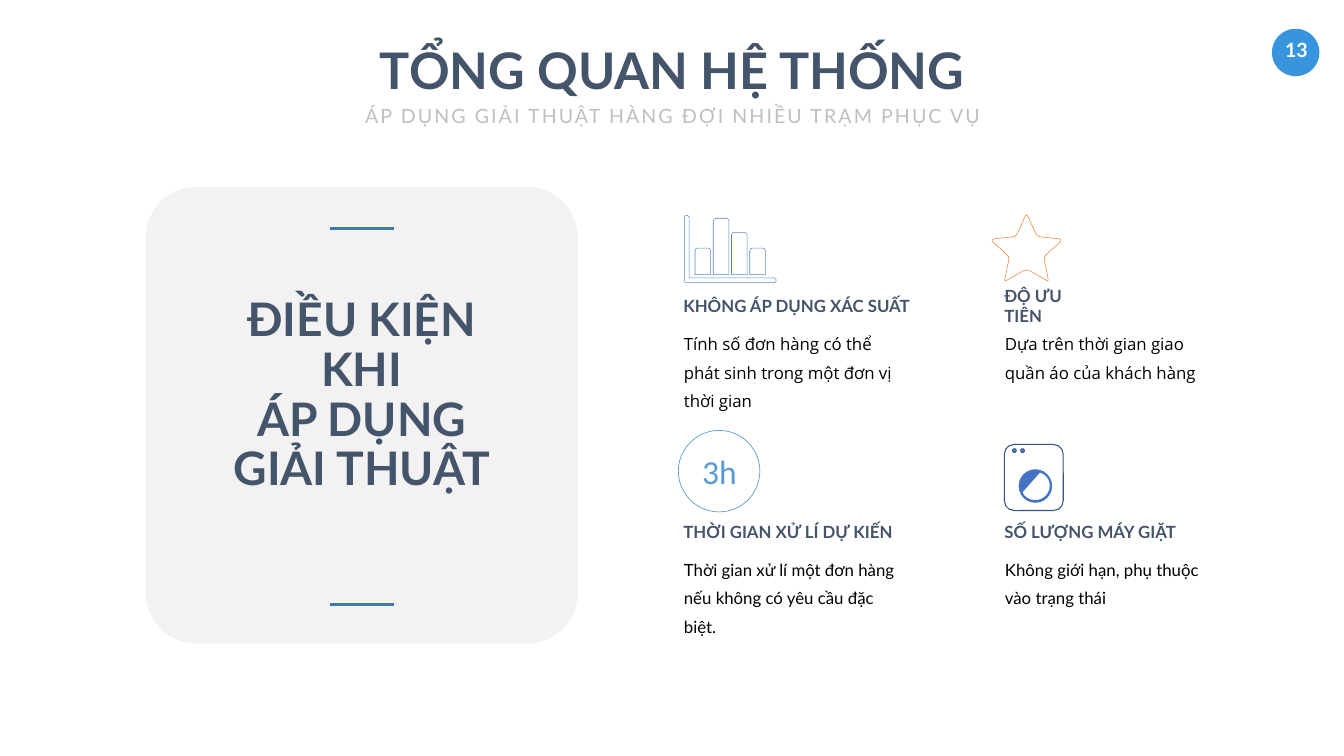
from pptx import Presentation
from pptx.dml.color import RGBColor
from pptx.enum import shapes, text
from pptx.oxml.ns import qn
from pptx.util import Cm, Pt
from lxml import etree

COLORS = {"navy": "44546A", "badge": "3895DD", "card": "F2F2F2", "blue": "4472C4",
          "bar": "5B84CB", "orange": "ED7D31", "sky": "5B9BD5", "edge": "325491",
          "gray": "BFBFBF", "black": "000000", "white": "FFFFFF"}
SHAPE = shapes.MSO_SHAPE
CENTER = text.PP_ALIGN.CENTER

# Content
TITLE = "TỔNG QUAN HỆ THỐNG"
SUBTITLE = "ÁP DỤNG GIẢI THUẬT HÀNG ĐỢI NHIỀU TRẠM PHỤC VỤ"
CARD = ["ĐIỀU KIỆN", "KHI", "ÁP DỤNG", "GIẢI THUẬT"]
# column, row, heading, heading width, body, body font
CONDITIONS = [
    (0, 0, "KHÔNG ÁP DỤNG XÁC SUẤT", 12.17,
     "Tính số đơn hàng có thể phát sinh trong một đơn vị thời gian", "Open Sans"),
    (1, 0, "ĐỘ ƯU TIÊN", 5.46,
     "Dựa trên thời gian giao quần áo của khách hàng", "Open Sans"),
    (0, 1, "THỜI GIAN XỬ LÍ DỰ KIẾN", 11.15,
     "Thời gian xử lí một đơn hàng nếu không có yêu cầu đặc biệt.", "Lato"),
    (1, 1, "SỐ LƯỢNG MÁY GIẶT", 9.27,
     "Không giới hạn, phụ thuộc vào trạng thái", "Lato"),
]
BAR_TOPS = [12.5, 11, 11.71, 12.5]
# Right half of the star: distance from its axis, height on the slide
STAR_HALF = [(0, 10.82), (0.07, 10.9), (0.46, 11.76), (0.56, 11.89), (0.72, 11.94),
             (1.67, 12.04), (1.74, 12.09), (1.7, 12.19), (0.99, 12.83), (0.91, 12.93),
             (0.89, 13.08), (1.09, 14.05), (1.09, 14.15), (0.99, 14.12), (0.15, 13.64),
             (0, 13.61)]


def rgb(name):
    return RGBColor.from_string(COLORS[name])


def paint(sp, fill=None, line=None, width=0.75):
    sp.shadow.inherit = False
    if fill:
        sp.fill.solid()
        sp.fill.fore_color.rgb = rgb(fill)
    else:
        sp.fill.background()
    if line:
        sp.line.color.rgb = rgb(line)
        sp.line.width = Pt(width)
    else:
        sp.line.fill.background()
    return sp


def add_shape(parent, kind, box, **style):
    return paint(parent.add_shape(kind, *map(Cm, box)), **style)


def add_outline(parent, points, line):
    start, *rest = [(Cm(x), Cm(y)) for x, y in points]
    fb = parent.build_freeform(*start)
    fb.add_line_segments(rest, close=True)
    return paint(fb.convert_to_shape(), "white", line)


def write(sp, lines, size, color, font="Lato", bold=False, align=None, spacing=None,
          wrap=False, middle=False, inset=(0.25, 0.13)):
    tf = sp.text_frame
    tf.auto_size = text.MSO_AUTO_SIZE.NONE
    tf.word_wrap = wrap
    tf.vertical_anchor = text.MSO_ANCHOR.MIDDLE if middle else text.MSO_ANCHOR.TOP
    tf.margin_left = tf.margin_right = Cm(inset[0])
    tf.margin_top = tf.margin_bottom = Cm(inset[1])
    for i, line in enumerate(lines):
        p = tf.add_paragraph() if i else tf.paragraphs[0]
        p.add_run().text = line
        p.alignment = align
        p.line_spacing = spacing
        p.font.size, p.font.name, p.font.bold = Pt(size), font, bold
        p.font.color.rgb = rgb(color)
    return tf


def add_text(box, lines, *args, **kwargs):
    return write(s.shapes.add_textbox(*map(Cm, box)), lines, *args, **kwargs)


prs = Presentation()
prs.slide_width, prs.slide_height = Cm(67.74), Cm(38.1)
s = prs.slides.add_slide(prs.slide_layouts[5])

# Title and subtitle
title = s.shapes.title
title.left, title.top, title.width, title.height = map(Cm, (18.82, 1.83, 30.12, 3.33))
write(title, [TITLE], 72, "navy", bold=True, align=CENTER, spacing=1.0)
tf = add_text((17.58, 4.7, 32.66, 1.9), [SUBTITLE], 28, "gray", align=CENTER,
              spacing=1.2, inset=(0.61, 0.3))
tf.paragraphs[0].runs[0].font._element.set("spc", "300")

# Page badge
add_shape(s.shapes, SHAPE.OVAL, (64.11, 1.45, 2.39, 2.39), fill="badge")
add_text((64.19, 1.68, 2.31, 1.7), ["13"], 28, "white", bold=True, align=CENTER,
         inset=(0.51, 0.25))

# Card with two rules
card = add_shape(s.shapes, SHAPE.ROUNDED_RECTANGLE, (7.34, 9.42, 21.79, 23.01), fill="card")
card.adjustments[0] = 0.118
add_text((11.3, 14.78, 13.87, 10.36), CARD, 66, "navy", bold=True, align=CENTER,
         spacing=Pt(71.2))
rules = s.shapes.add_group_shape().shapes
for y in (11.51, 30.45):
    rule = rules.add_connector(shapes.MSO_CONNECTOR.STRAIGHT,
                               Cm(16.61), Cm(y), Cm(19.86), Cm(y))
    rule.line.color.rgb = rgb("blue")
    rule.line.width = Pt(4.5)
    etree.SubElement(rule._element.spPr, qn("a:effectLst"))

# Conditions in a two by two grid
for col, row, heading, width, body, font in CONDITIONS:
    x, y = 34.19 + 16.18 * col, 14.78 + 11.38 * row
    add_text((x, y, width, 1.27), [heading], 24, "navy", bold=True, wrap=True, middle=True)
    add_text((x - 0.33, y + 1.35, 12.12, 3.3 if col else 4.72), [body], 24, "black", font,
             spacing=Pt(40.4), wrap=True, inset=(0.61, 0.3))

# Bar chart icon
icon = s.shapes.add_group_shape().shapes
left, right, top, bottom, thick, cut = 34.49, 39.12, 10.85, 14.25, 0.24, 0.08
add_outline(icon, [(left + cut, top), (left, top + cut), (left, bottom - cut),
                   (left + cut, bottom), (right - cut, bottom), (right, bottom - cut),
                   (right, bottom - thick + cut), (right - cut, bottom - thick),
                   (left + thick, bottom - thick), (left + thick, top + cut),
                   (left + thick - cut, top)], "bar")
base, bar_w, corner = 13.84, 0.79, 0.13
for i, y in enumerate(BAR_TOPS):
    x = 35.03 + 0.92 * i
    add_outline(icon, [(x + corner, y), (x + 0.04, y + 0.04), (x, y + corner), (x, base),
                       (x + bar_w, base), (x + bar_w, y + corner),
                       (x + bar_w - 0.04, y + 0.04), (x + bar_w - corner, y)], "bar")

# Star icon, mirrored about its axis
axis = 51.74
add_outline(s.shapes, [(axis + d, y) for d, y in STAR_HALF]
            + [(axis - d, y) for d, y in STAR_HALF[-2:0:-1]], "orange")

# Time icon
add_shape(s.shapes, SHAPE.OVAL, (34.19, 21.69, 4.11, 4.11), line="sky", width=1)
add_text((35.13, 22.61, 2.26, 2.31), ["3h"], 48, "sky", "Calibri", align=CENTER)

# Washing machine icon
icon = s.shapes.add_group_shape().shapes
add_shape(icon, SHAPE.ROUNDED_RECTANGLE, (50.62, 22.4, 2.97, 3.33), line="edge", width=1.5)
add_shape(icon, SHAPE.OVAL, (51.36, 23.67, 1.65, 1.65), fill="blue", line="blue", width=1)
add_shape(icon, SHAPE.CHORD, (51.49, 23.77, 1.4, 1.45), fill="white").rotation = 243.8
for x in (51.03, 51.44):
    add_shape(icon, SHAPE.OVAL, (x, 22.61, 0.2, 0.2), fill="blue", line="edge", width=1)

prs.save("out.pptx")
